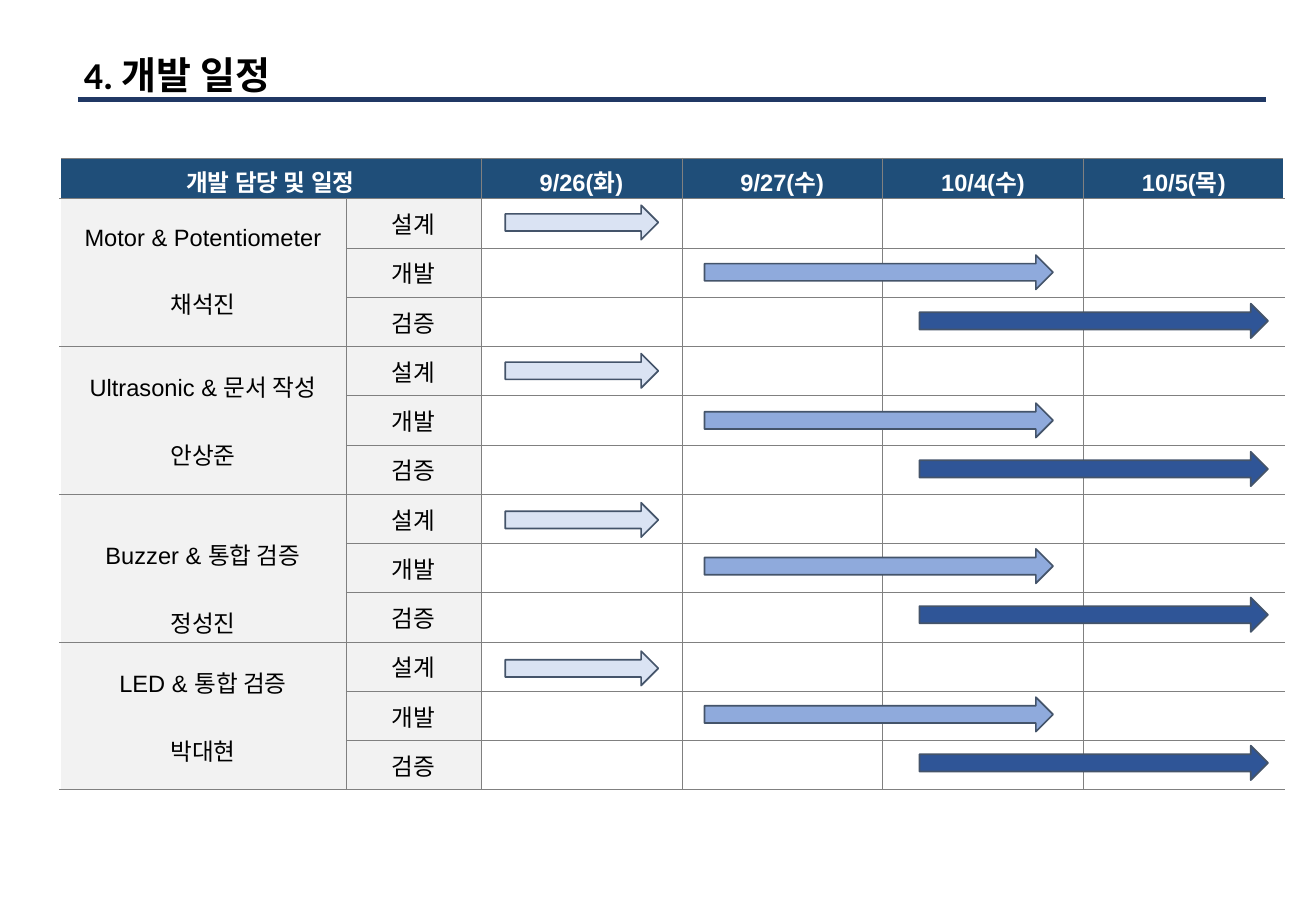
"""Build the development schedule slide with its table and arrows."""
from lxml.etree import SubElement
from pptx import Presentation
from pptx.dml.color import RGBColor
from pptx.enum.shapes import MSO_CONNECTOR as Connector, MSO_SHAPE as Shape
from pptx.enum.text import MSO_ANCHOR as Anchor, MSO_AUTO_SIZE as AutoSize, PP_ALIGN as Align
from pptx.oxml.ns import qn
from pptx.util import Pt

TITLE = "4. 개발 일정"
HEADING = "개발 담당 및 일정"
DATES = ["9/26(화)", "9/27(수)", "10/4(수)", "10/5(목)"]
TEAMS = [
    ("Motor & Potentiometer", "채석진"),
    ("Ultrasonic & 문서 작성", "안상준"),
    ("Buzzer & 통합 검증", "정성진"),
    ("LED & 통합 검증", "박대현"),
]
LOW_TEAM = 2
PHASES = [
    {"name": "설계", "left": 299.5, "width": 90.7, "tops": [121.7, 209.6, 298, 386]},
    {"name": "개발", "left": 417.6, "width": 206.6, "tops": [151.2, 239, 325.4, 413.3]},
    {"name": "검증", "left": 545, "width": 206.6, "tops": [180, 267.8, 354.2, 442]},
]
COLORS = {
    "설계": "DAE3F3", "개발": "8FAADC", "검증": "2F5597",
    "arrow line": "44546A", "rule": "203864", "header": "1F4E79",
    "label": "F2F2F2", "grid": "808080", "white": "FFFFFF", "black": "000000",
}
TABLE_LEFT, TABLE_TOP = 35.5, 93.7
COLUMN_WIDTHS = [169.7, 80] + [119] * len(DATES)
HEADER_HEIGHT, ROW_HEIGHT = 23.8, 29.2
ARROW_HEIGHT = 20.4


def color(name):
    return RGBColor.from_string(COLORS[name])


def add_title(slide):
    title = slide.shapes.title
    title.left, title.top, title.width, title.height = Pt(42.5), Pt(26.6), Pt(307.4), Pt(34.6)
    frame = title.text_frame
    frame.text = TITLE
    frame.auto_size = AutoSize.NONE
    frame.vertical_anchor = Anchor.MIDDLE
    paragraph = frame.paragraphs[0]
    paragraph.alignment = Align.LEFT
    font = paragraph.font
    font.name, font.size, font.bold = "Calibri", Pt(22.5), True
    font.color.rgb = color("black")

    rule = slide.shapes.add_connector(Connector.STRAIGHT, Pt(46.2), Pt(59), Pt(750.2), Pt(59))
    rule.line.color.rgb = color("rule")
    rule.line.width = Pt(3)
    SubElement(rule._element.spPr, qn("a:effectLst"))


def add_borders(cell, sides):
    properties = cell._tc.get_or_add_tcPr()
    for side in sides:
        line = SubElement(properties, qn(f"a:ln{side}"), w=str(Pt(0.5)))
        fill = SubElement(line, qn("a:solidFill"))
        SubElement(fill, qn("a:srgbClr"), val=COLORS["grid"])


def style_cell(cell, fill, text_color, bold):
    cell.fill.solid()
    cell.fill.fore_color.rgb = color(fill)
    cell.vertical_anchor = Anchor.MIDDLE
    for paragraph in cell.text_frame.paragraphs:
        paragraph.alignment = Align.CENTER
        font = paragraph.font
        font.name, font.size, font.bold = "Arial", Pt(14), bold
        font.color.rgb = color(text_color)


def add_schedule(slide):
    row_heights = [HEADER_HEIGHT] + [ROW_HEIGHT] * (len(TEAMS) * len(PHASES))
    table = slide.shapes.add_table(
        len(row_heights), len(COLUMN_WIDTHS), Pt(TABLE_LEFT), Pt(TABLE_TOP),
        Pt(sum(COLUMN_WIDTHS)), Pt(sum(row_heights))).table
    table.horz_banding = False
    for column, width in zip(table.columns, COLUMN_WIDTHS):
        column.width = Pt(width)
    for row, height in zip(table.rows, row_heights):
        row.height = Pt(height)

    table.cell(0, 0).merge(table.cell(0, 1))
    table.cell(0, 0).text = HEADING
    for index, date in enumerate(DATES):
        table.cell(0, index + 2).text = date
    for team_index, team in enumerate(TEAMS):
        first = 1 + team_index * len(PHASES)
        team_cell = table.cell(first, 0)
        team_cell.merge(table.cell(first + len(PHASES) - 1, 0))
        team_cell.text = "\n".join(team)
        team_cell.text_frame.paragraphs[1].space_before = Pt(20)
        if team_index == LOW_TEAM:
            team_cell.margin_top, team_cell.margin_bottom = Pt(24), Pt(0)
        for offset, phase in enumerate(PHASES):
            table.cell(first + offset, 1).text = phase["name"]

    last_column = len(COLUMN_WIDTHS) - 1
    for row_index in range(len(row_heights)):
        for column_index in range(len(COLUMN_WIDTHS)):
            cell = table.cell(row_index, column_index)
            left = "L" if column_index > 0 else ""
            right = "R" if column_index < last_column else ""
            add_borders(cell, left + right + "TB")
            if row_index == 0:
                cell.margin_top, cell.margin_bottom = Pt(3.6), Pt(0)
                style_cell(cell, "header", "white", True)
            else:
                style_cell(cell, "label" if column_index < 2 else "white", "black", False)


def add_arrows(slide):
    for phase in PHASES:
        for top in phase["tops"]:
            arrow = slide.shapes.add_shape(
                Shape.RIGHT_ARROW, Pt(phase["left"]), Pt(top), Pt(phase["width"]), Pt(ARROW_HEIGHT))
            arrow.shadow.inherit = False
            arrow.fill.solid()
            arrow.fill.fore_color.rgb = color(phase["name"])
            arrow.line.color.rgb = color("arrow line")
            arrow.line.width = Pt(1)


def main():
    presentation = Presentation()
    presentation.slide_width, presentation.slide_height = Pt(780), Pt(540)
    slide = presentation.slides.add_slide(presentation.slide_layouts[5])
    add_title(slide)
    add_schedule(slide)
    add_arrows(slide)
    presentation.save("out.pptx")


if __name__ == "__main__":
    main()
